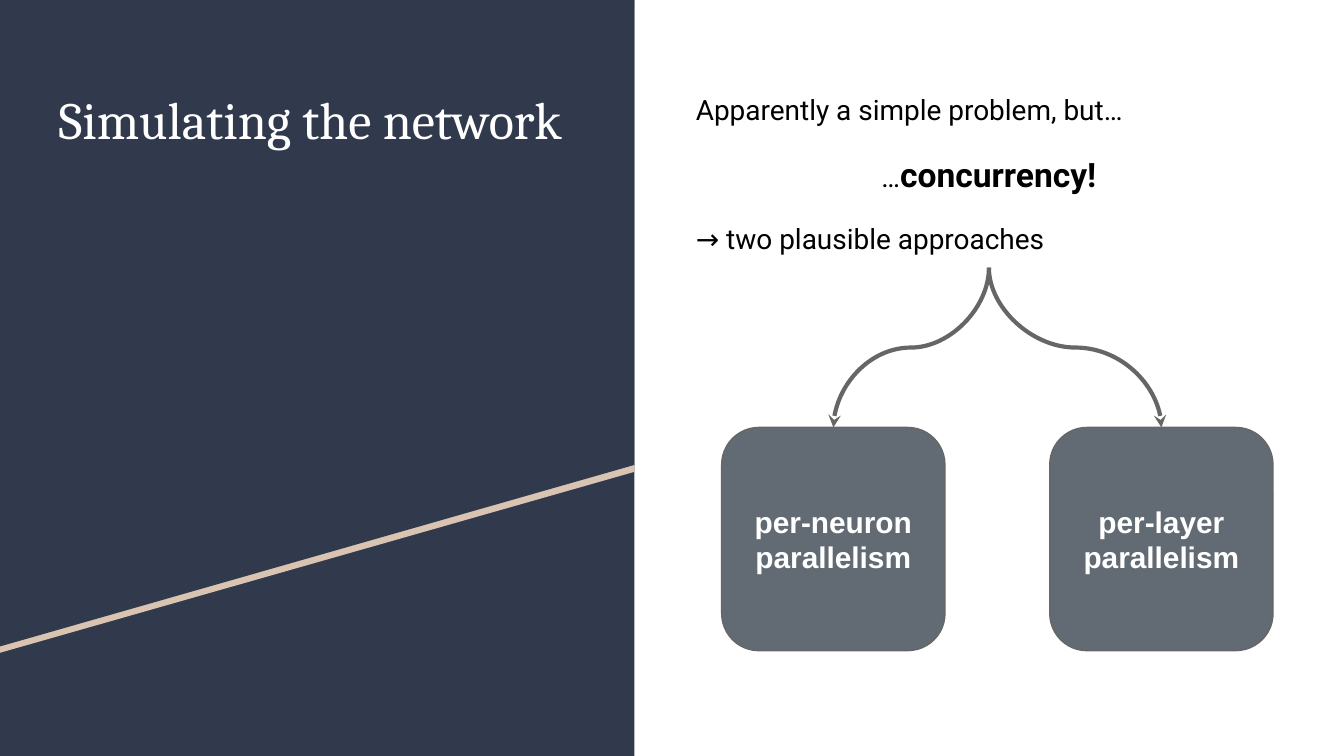
import pptx
import pptx.util
import pptx.dml.color
import pptx.enum.shapes
import pptx.enum.text
import pptx.oxml.ns
from lxml import etree

Cm, Pt = pptx.util.Cm, pptx.util.Pt
RGB = pptx.dml.color.RGBColor
SHAPE = pptx.enum.shapes.MSO_SHAPE
ALIGN = pptx.enum.text.PP_ALIGN
ANCHOR = pptx.enum.text.MSO_ANCHOR
qn = pptx.oxml.ns.qn

NAVY = RGB(0x31, 0x39, 0x4D)
SAND = RGB(0xD9, 0xC4, 0xB1)
SLATE = RGB(0x62, 0x6B, 0x73)
GREY = RGB(0x66, 0x66, 0x66)
WHITE = RGB(0xFF, 0xFF, 0xFF)
BLACK = RGB(0, 0, 0)


class Deck:
    """Holds the style and the current slide."""
    inset = Cm(0.25)
    head, body, label = "Cambria", "Roboto", "Arial"

    def __init__(self, width, height):
        self.prs = pptx.Presentation()
        self.prs.slide_width, self.prs.slide_height = Cm(width), Cm(height)
        self.s = self.prs.slides.add_slide(self.prs.slide_layouts[6])

    def paint(self, sp, fill, line=None):
        sp.shadow.inherit = False
        sp.fill.solid()
        sp.fill.fore_color.rgb = fill
        if line is None:
            sp.line.fill.background()
        else:
            sp.line.color.rgb = line
            sp.line.width = Pt(0.75)

    def frame(self, sp, anchor):
        tf = sp.text_frame
        tf.word_wrap = True
        tf.vertical_anchor = anchor
        tf.margin_left = tf.margin_right = self.inset
        tf.margin_top = tf.margin_bottom = self.inset
        return tf

    def add_runs(self, p, runs, font, color, align=ALIGN.LEFT):
        p.alignment = align
        for text, size, bold in runs:
            r = p.add_run()
            r.text = text
            r.font.name, r.font.size, r.font.bold = font, Pt(size), bold
            r.font.color.rgb = color

    def polygon(self, points, fill):
        pts = [(Cm(x), Cm(y)) for x, y in points]
        fb = self.s.shapes.build_freeform(*pts[0])
        fb.add_line_segments(pts[1:], close=True)
        self.paint(fb.convert_to_shape(), fill)

    def rect(self, x, y, w, h, fill):
        sp = self.s.shapes.add_shape(SHAPE.RECTANGLE, Cm(x), Cm(y), Cm(w), Cm(h))
        self.paint(sp, fill)

    def textbox(self, x, y, w, h):
        sp = self.s.shapes.add_textbox(Cm(x), Cm(y), Cm(w), Cm(h))
        return self.frame(sp, ANCHOR.TOP)

    def box(self, x, y, side, text):
        sp = self.s.shapes.add_shape(
            SHAPE.ROUNDED_RECTANGLE, Cm(x), Cm(y), Cm(side), Cm(side))
        self.paint(sp, SLATE, GREY)
        tf = self.frame(sp, ANCHOR.MIDDLE)
        self.add_runs(tf.paragraphs[0], [(text, 16, True)], self.label, WHITE, ALIGN.CENTER)

    def arrow_down(self, x1, y1, x2, y2):
        """S-curve leaving and arriving vertically: a turned horizontal one."""
        cx, cy = (x1 + x2) / 2, (y1 + y2) / 2
        half_w, half_h = (y2 - y1) / 2, abs(x2 - x1) / 2
        side, turn = (1, 90) if x2 < x1 else (-1, 270)
        c = self.s.shapes.add_connector(
            pptx.enum.shapes.MSO_CONNECTOR.CURVE,
            Cm(cx - side * half_w), Cm(cy - half_h),
            Cm(cx + side * half_w), Cm(cy + half_h))
        c.line.color.rgb = GREY
        c.line.width = Pt(2.25)
        props = c._element.spPr
        props.find(qn("a:xfrm")).set("rot", str(turn * 60000))
        etree.SubElement(props.find(qn("a:ln")), qn("a:tailEnd"), type="stealth")
        etree.SubElement(props, qn("a:effectLst"))


def main():
    d = Deck(25.4, 14.29)

    # Left panel with a slanted stripe
    panel_w = 11.99
    d.rect(0, 0, panel_w, 14.29, NAVY)
    for top, right, left, fill in ((0.13, 8.92, 12.34, SAND), (0, 8.79, 12.22, NAVY)):
        d.polygon([(0, top), (panel_w, top), (panel_w, right), (0, left)], fill)

    # Title
    tf = d.textbox(0.86, 1.4, 10.29, 6.96)
    d.add_runs(tf.paragraphs[0], [("Simulating the network", 28, False)], d.head, WHITE)

    # Body text
    tf = d.textbox(12.9, 1.4, 11.58, 3.66)
    lines = [
        ([("Apparently a simple problem, but…", 15, False)], ALIGN.LEFT, 0, 0),
        ([("…", 15, False), ("concurrency!", 18, True)], ALIGN.CENTER, 12, 0),
        ([("→ two plausible approaches", 15, False)], ALIGN.LEFT, 12, 12),
    ]
    for i, (runs, align, before, after) in enumerate(lines):
        p = tf.add_paragraph() if i else tf.paragraphs[0]
        p.line_spacing = 1.15
        p.space_before, p.space_after = Pt(before), Pt(after)
        d.add_runs(p, runs, d.body, BLACK, align)

    # Two approaches, each with an arrow from the text
    side, top = 4.22, 8.08
    approaches = ((13.64, "per-neuron parallelism"), (19.84, "per-layer parallelism"))
    for x, text in approaches:
        d.box(x, top, side, text)
    for x, _ in approaches:
        d.arrow_down(18.69, 5.06, x + side / 2, top)

    d.prs.save("out.pptx")


if __name__ == "__main__":
    main()
